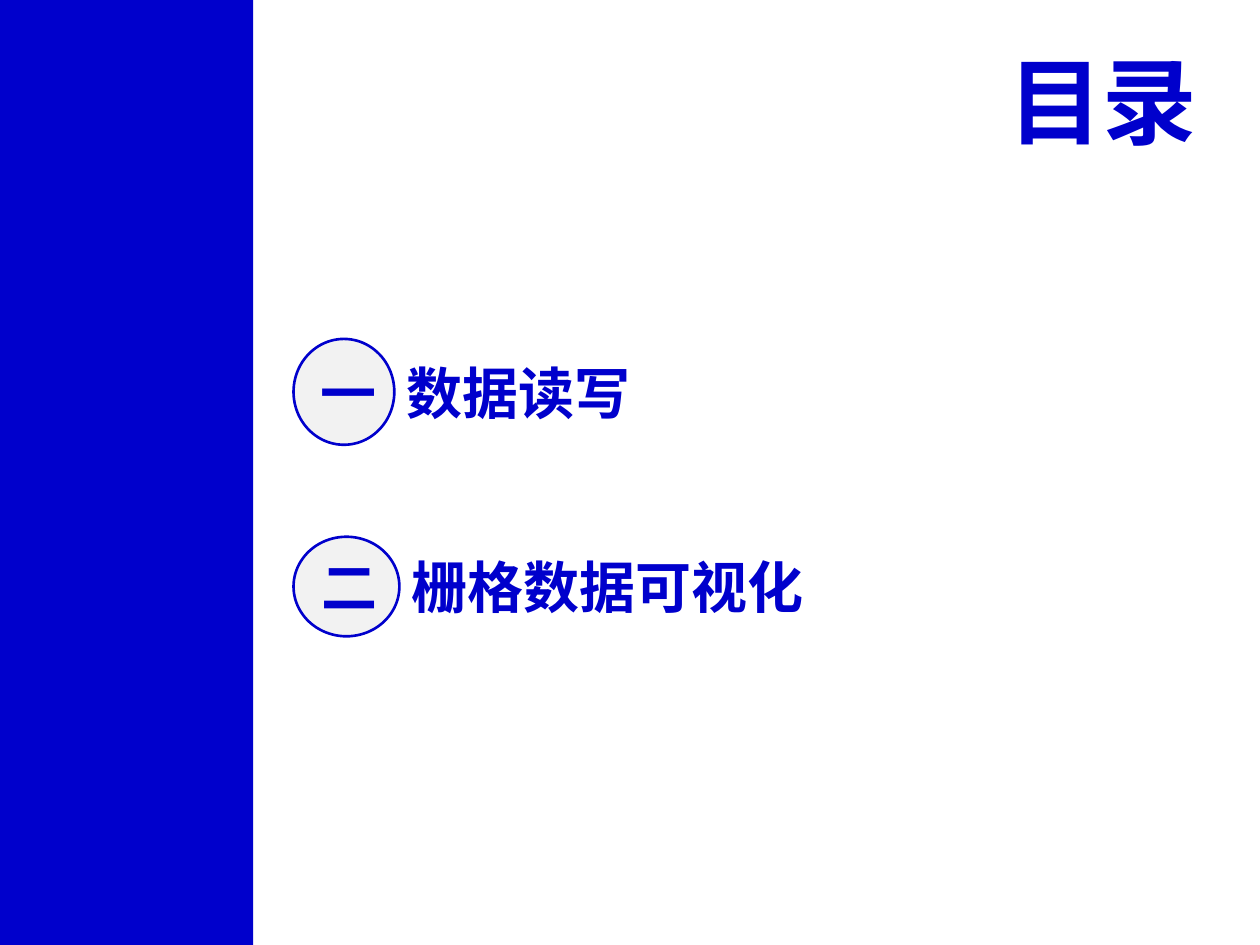
from pptx import Presentation
from pptx.dml.color import RGBColor
from pptx.enum.shapes import MSO_SHAPE as Shape
from pptx.enum.text import MSO_ANCHOR as Anchor, PP_ALIGN as Align
from pptx.oxml.ns import qn
from pptx.util import Inches, Pt

BLUE, GREY = "0000CC", "F2F2F2"
CJK = "Noto Sans CJK SC"


def color(code):
    return RGBColor.from_string(code)


def write(shape, text, size=32, font="Arial", align=Align.LEFT,
          anchor=Anchor.MIDDLE, wrap=True):
    frame = shape.text_frame
    frame.word_wrap = wrap
    frame.vertical_anchor = anchor
    para = frame.paragraphs[0]
    para.alignment = align
    run = para.add_run()
    run.text = text
    run.font.size, run.font.bold, run.font.name = Pt(size), True, font
    run.font.color.rgb = color(BLUE)
    east = run.font._element.makeelement(qn("a:ea"), {"typeface": CJK})
    run.font._element.find(qn("a:latin")).addnext(east)


def draw(shapes, kind, box, fill, line=None):
    shape = shapes.add_shape(kind, *map(Inches, box))
    shape.shadow.inherit = False
    shape.fill.solid()
    shape.fill.fore_color.rgb = color(fill)
    if line:
        shape.line.color.rgb = color(line)
        shape.line.width = Pt(1.5)
    else:
        shape.line.fill.background()
    return shape


def add_title(slide, box, text):
    label = slide.shapes.add_textbox(*map(Inches, box))
    write(label, text, size=54, align=Align.RIGHT, anchor=Anchor.TOP, wrap=False)


def add_entry(slide, box, number, text, width):
    """Place a numbered oval with its heading centred to the right."""
    left, top, wide, high = box
    group = slide.shapes.add_group_shape().shapes
    oval = draw(group, Shape.OVAL, box, GREY, BLUE)
    write(oval, number, font=CJK, align=Align.CENTER)
    tall = 0.64
    label = group.add_textbox(Inches(left + wide), Inches(top + (high - tall) / 2),
                              Inches(width), Inches(tall))
    write(label, text)


def main():
    deck = Presentation()
    deck.slide_width, deck.slide_height = Inches(10), Inches(7.5)
    slide = deck.slides.add_slide(deck.slide_layouts[6])
    draw(slide.shapes, Shape.RECTANGLE, (0, 0, 2.01, 7.5), BLUE)
    add_title(slide, (7.84, 0.29, 1.76, 1.01), "目录")
    add_entry(slide, (2.33, 2.69, 0.8, 0.84), "一", "数据读写", 6.47)
    add_entry(slide, (2.33, 4.26, 0.84, 0.79), "二", "栅格数据可视化", 6.52)
    deck.save("out.pptx")


if __name__ == "__main__":
    main()
